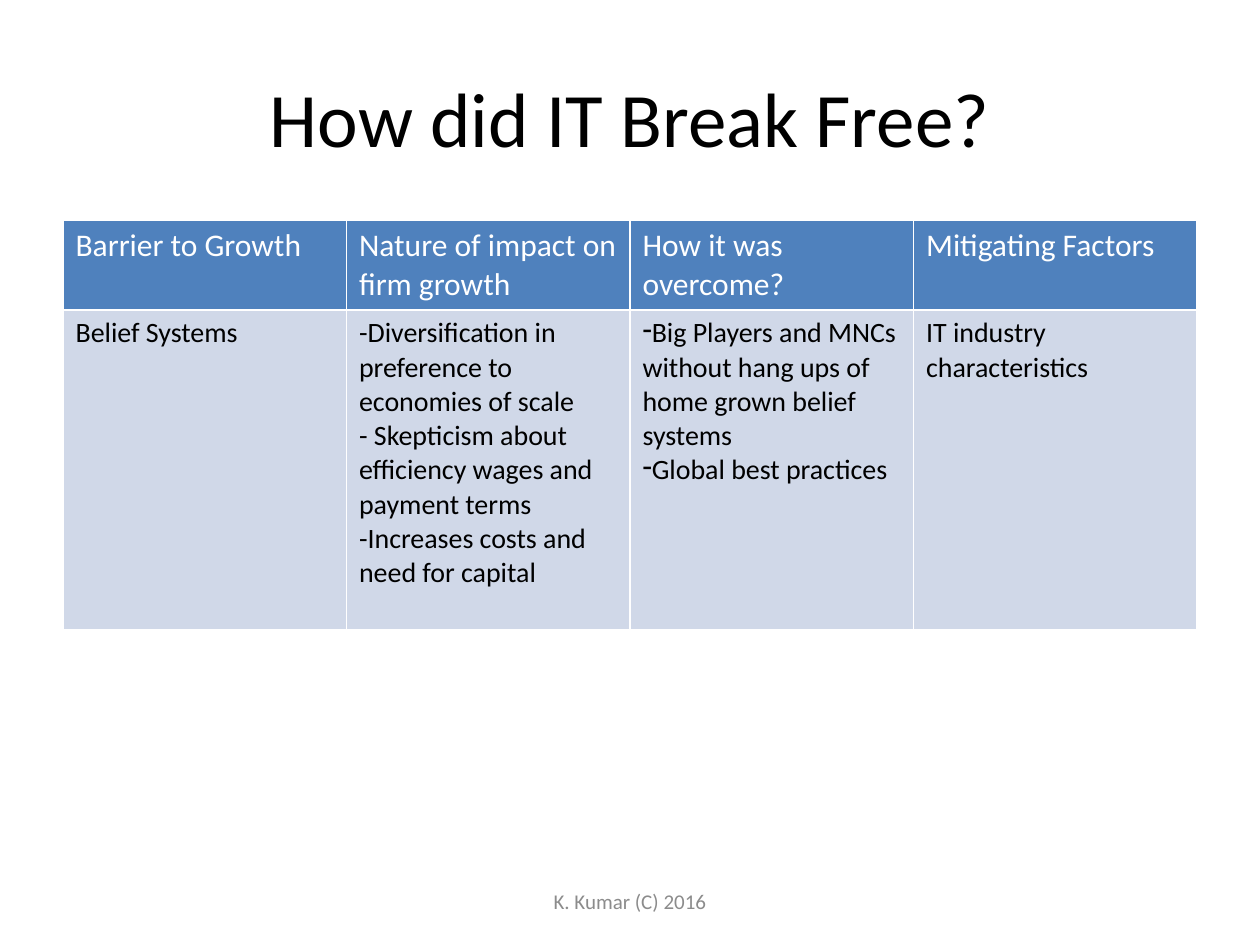
import pptx
import pptx.util
import pptx.dml.color
import pptx.enum.text
import pptx.oxml
import pptx.oxml.ns

COLORS = {"title": "000000", "header": "4F81BD", "body": "D0D8E8",
          "light": "FFFFFF", "dark": "000000", "footer": "8C8C8C"}
WIDTH, HEIGHT = 10, 7.5
MARGIN = 0.05 * WIDTH
COLUMN = (WIDTH - 2 * MARGIN) / 4
ROW_HEIGHTS = [0.71, 2.54]
HEADER = ["Barrier to Growth", "Nature of impact on firm growth",
          "How it was overcome?", "Mitigating Factors"]
BODY = [
    ["Belief Systems"],
    ["-Diversification in preference to economies of scale",
     "- Skepticism about efficiency wages and payment terms",
     "-Increases costs and need for capital"],
    ["Big Players and MNCs without hang ups of home grown belief systems",
     "Global best practices"],
    ["IT industry characteristics"],
]
BULLET_COLUMN = 2


def inches(value):
    return pptx.util.Inches(value)


def rgb(name):
    return pptx.dml.color.RGBColor.from_string(COLORS[name])


def add_bullet(p, char):
    pPr = p._p.get_or_add_pPr()
    pPr.set("marL", "0")
    pPr.set("indent", "0")
    bullet = pptx.oxml.parse_xml(
        f'<a:buChar {pptx.oxml.ns.nsdecls("a")} char="{char}"/>')
    pPr.append(bullet)


def write(tf, lines, size, color, align, bullet=None):
    font = {"name": "Calibri", "size": pptx.util.Pt(size), "bold": False}
    for i, line in enumerate(lines):
        p = tf.add_paragraph() if i else tf.paragraphs[0]
        p.alignment = align
        if bullet:
            add_bullet(p, bullet)
        r = p.add_run()
        r.text = line
        for key, value in font.items():
            setattr(r.font, key, value)
        r.font.color.rgb = rgb(color)


def add_text(s, box, text, size, color):
    tf = s.shapes.add_textbox(*map(inches, box)).text_frame
    settings = {"word_wrap": True,
                "vertical_anchor": pptx.enum.text.MSO_ANCHOR.MIDDLE}
    for key, value in settings.items():
        setattr(tf, key, value)
    write(tf, [text], size, color, pptx.enum.text.PP_ALIGN.CENTER)


def add_borders(cell):
    tcPr = cell._tc.get_or_add_tcPr()
    for i, side in enumerate(("lnL", "lnR", "lnT", "lnB")):
        line = pptx.oxml.parse_xml(
            f'<a:{side} {pptx.oxml.ns.nsdecls("a")} w="{pptx.util.Pt(1)}">'
            f'<a:solidFill><a:srgbClr val="{COLORS["light"]}"/></a:solidFill>'
            f'</a:{side}>')
        tcPr.insert(i, line)


def fill_cell(cell, lines, size, color, fill, bullet=None):
    cell.fill.solid()
    cell.fill.fore_color.rgb = rgb(fill)
    add_borders(cell)
    write(cell.text_frame, lines, size, color,
          pptx.enum.text.PP_ALIGN.LEFT, bullet)


def add_barrier_table(s, top):
    box = (MARGIN, top, 4 * COLUMN, sum(ROW_HEIGHTS))
    table = s.shapes.add_table(2, 4, *map(inches, box)).table
    for row, height in zip(table.rows, ROW_HEIGHTS):
        row.height = inches(height)
    for c, (heading, lines) in enumerate(zip(HEADER, BODY)):
        table.columns[c].width = inches(COLUMN)
        bullet = "-" if c == BULLET_COLUMN else None
        fill_cell(table.cell(0, c), [heading], 18, "light", "header")
        fill_cell(table.cell(1, c), lines, 16, "dark", "body", bullet)


def main():
    prs = pptx.Presentation()
    size = {"slide_width": inches(WIDTH), "slide_height": inches(HEIGHT)}
    for key, value in size.items():
        setattr(prs, key, value)
    s = prs.slides.add_slide(prs.slide_layouts[6])
    add_text(s, (MARGIN, 0.04 * HEIGHT, 4 * COLUMN, HEIGHT / 6),
             "How did IT Break Free?", 44, "title")
    add_barrier_table(s, 1.75)
    footer_width = 3.17
    add_text(s, ((WIDTH - footer_width) / 2, 6.95, footer_width, 0.4),
             "K. Kumar (C) 2016", 12, "footer")
    prs.save("out.pptx")


if __name__ == "__main__":
    main()
